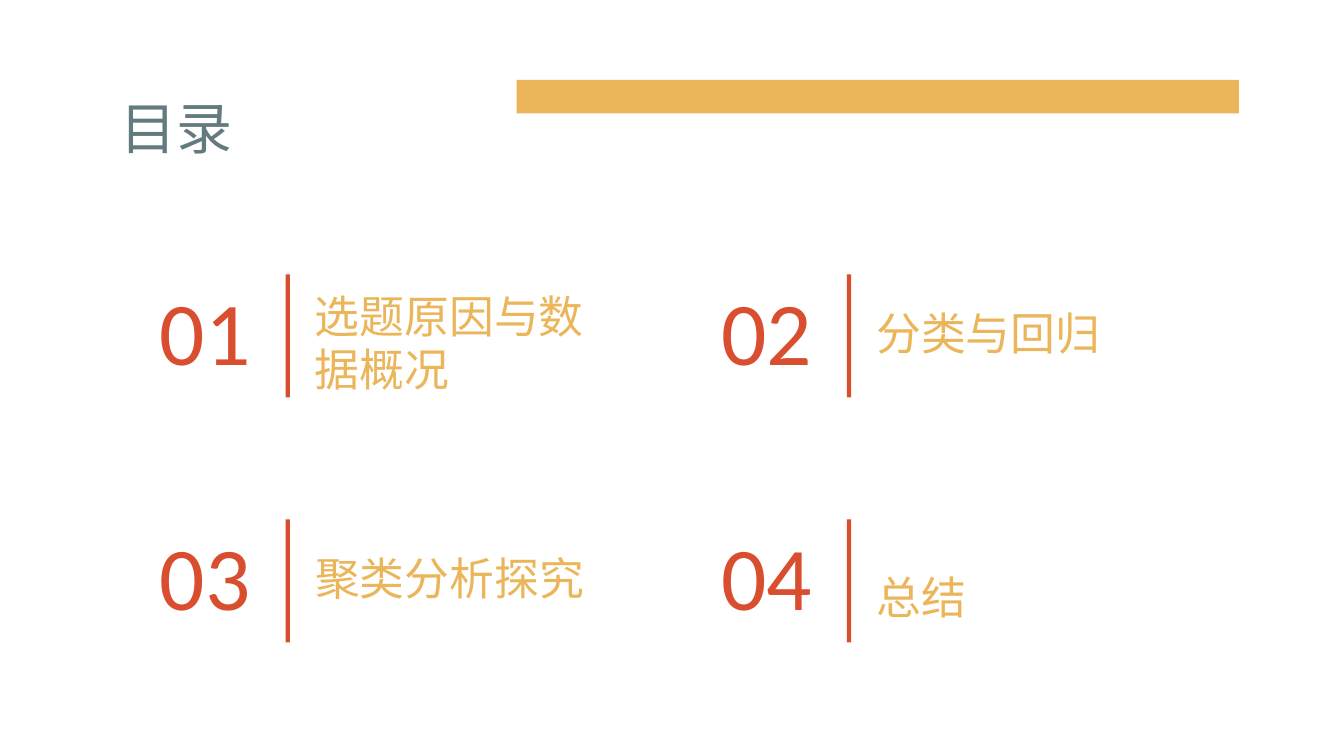
from pptx import Presentation
from pptx.dml.color import RGBColor
from pptx.enum.shapes import MSO_SHAPE
from pptx.enum.text import MSO_ANCHOR, MSO_AUTO_SIZE, PP_ALIGN
from pptx.util import Pt

GOLD = RGBColor(0xEB, 0xB5, 0x5A)
RED = RGBColor(0xD8, 0x4E, 0x2E)
SLATE = RGBColor(0x63, 0x7B, 0x7F)
RECT = MSO_SHAPE.RECTANGLE
TOP, BOTTOM = MSO_ANCHOR.TOP, MSO_ANCHOR.BOTTOM
LEFT, RIGHT = PP_ALIGN.LEFT, PP_ALIGN.RIGHT
FIXED = MSO_AUTO_SIZE.NONE
SCALE = 9525
PAD = 10
TITLE_ONLY = 5


def px(*nums):
    return [n * SCALE for n in nums]


def write(shape, text, size, color, font="Calibri", align=LEFT, anchor=TOP, after=0):
    frame = shape.text_frame
    frame.auto_size = FIXED
    frame.word_wrap = True
    frame.vertical_anchor = anchor
    frame.margin_left, frame.margin_top, frame.margin_right, frame.margin_bottom = px(*[PAD] * 4)
    frame.text = text
    para = frame.paragraphs[0]
    para.alignment = align
    para.space_before = Pt(0)
    para.space_after = Pt(after)
    style = para.runs[0].font
    style.name = font
    style.size = Pt(size)
    style.color.rgb = color


class Page:
    def __init__(self, deck):
        self.slide = deck.slides.add_slide(deck.slide_layouts[TITLE_ONLY])

    def title(self, text, box, **form):
        shape = self.slide.shapes.title
        shape.left, shape.top, shape.width, shape.height = px(*box)
        write(shape, text, **form)

    def text(self, text, box, **form):
        write(self.slide.shapes.add_textbox(*px(*box)), text, **form)

    def bar(self, box, color):
        shape = self.slide.shapes.add_shape(RECT, *px(*box))
        shape.shadow.inherit = False
        shape.fill.solid()
        shape.fill.fore_color.rgb = color
        shape.line.fill.background()

    def entry(self, num, label, left, top, drop, size, font):
        self.text(num, (left, top, 97, 88), size=48, color=RED, align=RIGHT, anchor=BOTTOM)
        self.bar((left + 112, top, 3, 88), RED)
        self.text(label, (left + 123, top + drop, *size), size=24, color=GOLD, font=font, after=16)


def main():
    deck = Presentation()
    deck.slide_width, deck.slide_height = px(960, 540)
    page = Page(deck)
    page.bar((369, 57, 516, 24), GOLD)
    page.title("目录", (76, 57, 314, 60), size=30, color=SLATE)
    cols, rows = (92, 493), (196, 371)
    items = [
        ("选题原因与数据概况", 0, (236, 64), "Cabin"),
        ("分类与回归", 12, (265, 36), "Calibri"),
        ("聚类分析探究", 12, (265, 36), "Calibri"),
        ("总结", 26, (229, 36), "Calibri"),
    ]
    for i, (label, drop, size, font) in enumerate(items):
        row, col = divmod(i, len(cols))
        page.entry(f"{i + 1:02}", label, cols[col], rows[row], drop, size, font)
    deck.save("out.pptx")


if __name__ == "__main__":
    main()
